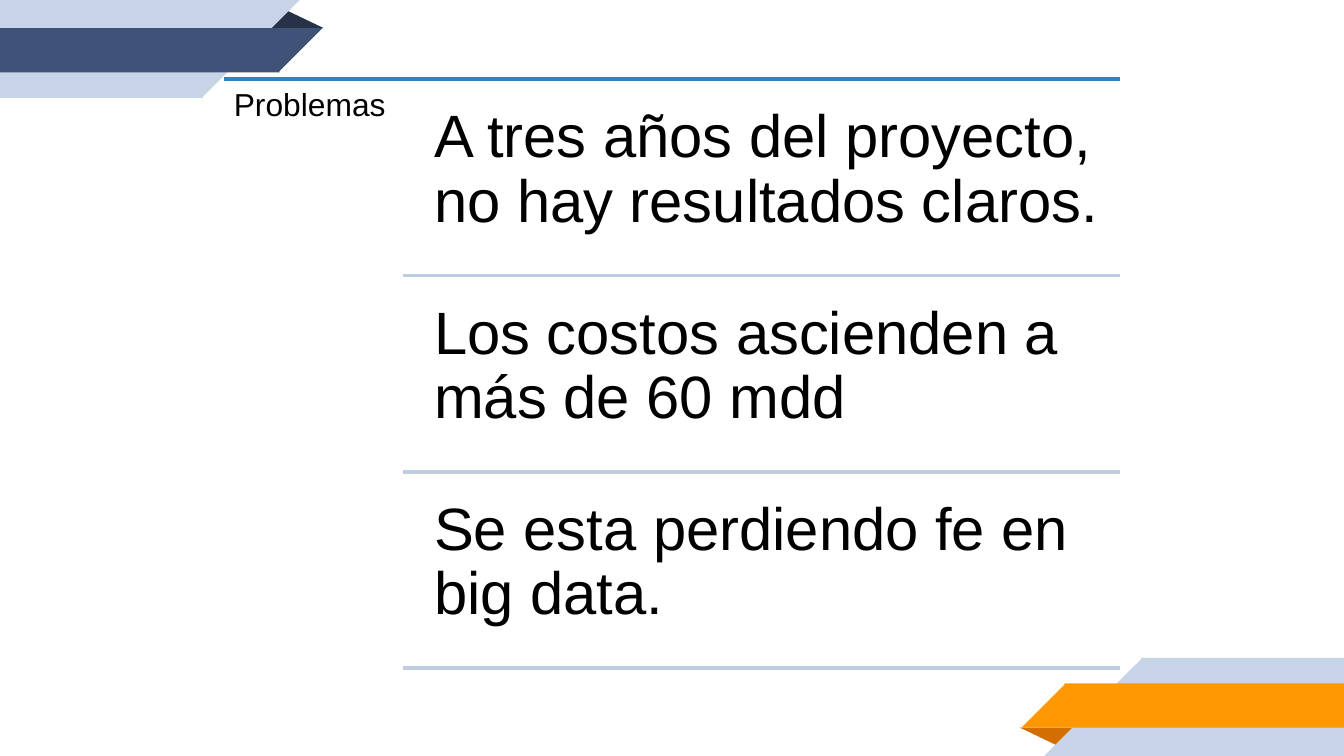
from lxml import etree
from pptx import Presentation
from pptx import util as u
from pptx.dml.color import RGBColor
from pptx.enum import shapes, text
from pptx.oxml.ns import qn

WIDE = 10
HIGH = WIDE * 9 / 16
COLORS = {
    "pale": "C7D3E6", "navy": "3F5378", "night": "263248",
    "orange": "FF9800", "rust": "D26F00",
    "blue": "3A81BA", "rule": "BFCDE0", "ink": "000000",
}
POINTS = [
    "A tres años del proyecto, no hay resultados claros.",
    "Los costos ascienden a más de 60 mdd",
    "Se esta perdiendo fe en big data.",
]


def color(name):
    return RGBColor.from_string(COLORS[name])


def add_part(slide, kind, box, fill, spin=0, turn=False):
    """Add a filled shape; turn places it half a turn round the slide centre."""
    left, top, width, height = box
    if turn:
        left, top = WIDE - left - width, HIGH - top - height
        spin = (spin + 180) % 360
    part = slide.shapes.add_shape(kind, *map(u.Inches, (left, top, width, height)))
    part.rotation = spin
    part.shadow.inherit = False
    part.fill.solid()
    part.fill.fore_color.rgb = color(fill)
    part.line.fill.background()
    return part


def add_band(slide, top, length, size, fill, turn):
    """Add a bar with a slanted end; a slight overlap hides the seam."""
    kind = shapes.MSO_SHAPE
    add_part(slide, kind.RECTANGLE, (0, top, length + 0.01, size), fill, turn=turn)
    add_part(slide, kind.RIGHT_TRIANGLE, (length, top, size, size), fill, 90, turn)


def add_ribbon(slide, front, fold, turn=False):
    """Add a corner ribbon: fold, pale band behind, coloured band in front."""
    tip = add_part(slide, shapes.MSO_SHAPE.ISOSCELES_TRIANGLE,
                   (1.98, 0.07, 0.43, 0.14), fold, turn=turn)
    tip.adjustments[0] = 0.32
    add_band(slide, 0, 1.5, 0.73, "pale", turn)
    add_band(slide, 0.21, 2.07, 0.33, front, turn)


def add_rule(slide, left, top, right, tint):
    line = slide.shapes.add_connector(
        shapes.MSO_CONNECTOR.STRAIGHT, *map(u.Inches, (left, top, right, top)))
    line.line.color.rgb = color(tint)
    line.line.width = u.Pt(2)
    etree.SubElement(line._element.spPr, qn("a:effectLst"))


def add_text(slide, box, words, size, inset):
    frame = slide.shapes.add_textbox(*map(u.Inches, box)).text_frame
    frame.word_wrap = True
    frame.vertical_anchor = text.MSO_ANCHOR.TOP
    frame.margin_left = frame.margin_right = u.Inches(inset)
    frame.margin_top = frame.margin_bottom = u.Inches(inset)
    para = frame.paragraphs[0]
    para.text = words
    para.line_spacing = 0.9
    para.font.name = "Arial"
    para.font.size = u.Pt(size)
    para.font.color.rgb = color("ink")


def main():
    deck = Presentation()
    deck.slide_width, deck.slide_height = u.Inches(WIDE), u.Inches(HIGH)
    slide = deck.slides.add_slide(deck.slide_layouts[6])

    # Corner ribbons
    add_ribbon(slide, "orange", "rust", turn=True)
    add_ribbon(slide, "navy", "night")

    # Heading
    left, top, right = 1.67, 0.59, 8.33
    add_rule(slide, left, top, right, "blue")
    add_text(slide, (left, top, 1.33, 4.44), "Problemas", 17, 0.07)

    # List of problems, each closed by a rule
    step, gap = 1.46, 0.07
    for row, words in enumerate(POINTS):
        start = top + row * step
        add_text(slide, (3.1, start + gap, 5.23, step - gap), words, 32, 0.13)
        add_rule(slide, 3, start + step, right, "rule")

    deck.save("out.pptx")


if __name__ == "__main__":
    main()
